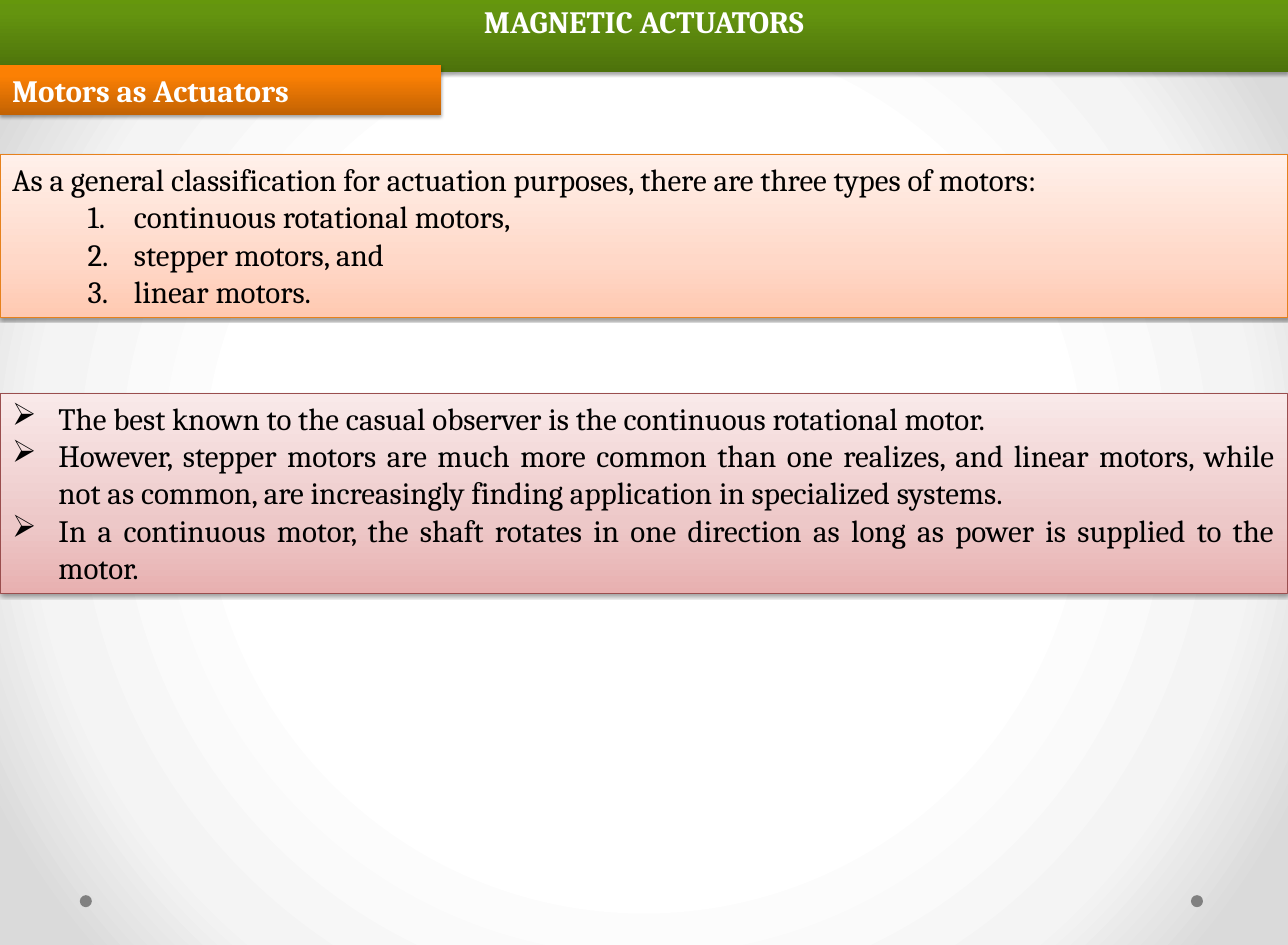
from lxml import etree
from pptx import Presentation
from pptx.dml.color import RGBColor
from pptx.enum import shapes, text
from pptx.oxml import ns
from pptx.util import Inches, Pt

FONT, SIZE = "Cambria", 26
LEFT, CENTER, JUSTIFY = text.PP_ALIGN.LEFT, text.PP_ALIGN.CENTER, text.PP_ALIGN.JUSTIFY
NUMBER = ("a:buAutoNum", {"type": "arabicPeriod"})
ARROW = ("a:buChar", {"char": "➢"})
BACKDROP = [(50, "FFFFFF"), (76, "F4F4F4"), (92, "DADADA")]

TITLE = dict(
    at=(0, -0.04, 15, 0.58), stops=[(0, "4D720B"), (80, "64940F"), (100, "65970C")],
    line=None, shadow=(35, 1.8), color="FFFFFF", bold=True, align=CENTER,
    lines=[("MAGNETIC ACTUATORS", None, 0)])
PANELS = [
    dict(at=(0, 0.76, 5.14, 0.58), stops=[(0, "C26203"), (80, "FB8004"), (100, "FF8002")],
         line=None, shadow=(35, 1.8), color="FFFFFF", bold=True, align=LEFT,
         lines=[("Motors as Actuators", None, 0)]),
    dict(at=(0, 1.8, 15, 1.89), stops=[(0, "FFC9B1"), (35, "FFD8C8"), (100, "FFF0EA")],
         line="E6811C", shadow=(38, 1.6), color="000000", bold=False, align=LEFT,
         lines=[("As a general classification for actuation purposes, there are three types of motors:", None, 0),
                ("continuous rotational motors,", NUMBER, 1.42),
                ("stepper motors, and", NUMBER, 1.42),
                ("linear motors.", NUMBER, 1.42)]),
    dict(at=(0, 4.58, 15, 2.33), stops=[(0, "E8B0B0"), (35, "EDC8C8"), (100, "F9E9E9")],
         line="9A4E4E", shadow=(38, 1.6), color="000000", bold=False, align=JUSTIFY,
         lines=[("The best known to the casual observer is the continuous rotational motor.", ARROW, 0.54),
                ("However, stepper motors are much more common than one realizes, and linear motors, "
                 "while not as common, are increasingly finding application in specialized systems.", ARROW, 0.54),
                ("In a continuous motor, the shaft rotates in one direction as long as power is "
                 "supplied to the motor.", ARROW, 0.54)]),
]
DOT_LEFTS, DOT_TOP, DOT_SIZE = (0.93, 13.87), 10.42, 0.14


def rgb(value):
    return RGBColor.from_string(value)


def add(parent, tag, **attributes):
    return etree.SubElement(parent, ns.qn(tag), {k: str(v) for k, v in attributes.items()})


def set_gradient(holder, fill, stops, circular=False):
    fill.solid()
    solid = holder.find(ns.qn("a:solidFill"))
    gradient = etree.Element(ns.qn("a:gradFill"), rotWithShape="1")
    stop_list = add(gradient, "a:gsLst")
    for position, color in stops:
        add(add(stop_list, "a:gs", pos=position * 1000), "a:srgbClr", val=color)
    if circular:
        route = add(gradient, "a:path", path="circle")
        add(route, "a:fillToRect", l=50000, t=50000, r=50000, b=50000)
    else:
        add(gradient, "a:lin", ang=270 * 60000, scaled=0)
    holder.replace(solid, gradient)


def set_shadow(box, opacity, distance):
    box.shadow.inherit = False
    effects = box.element.spPr.find(ns.qn("a:effectLst"))
    outer = add(effects, "a:outerShdw", blurRad=Pt(3.1), dist=Pt(distance),
                dir=90 * 60000, rotWithShape=0)
    add(add(outer, "a:srgbClr", val="000000"), "a:alpha", val=opacity * 1000)


def format_panel(box, panel):
    box.left, box.top, box.width, box.height = map(Inches, panel["at"])
    set_gradient(box.element.spPr, box.fill, panel["stops"])
    if panel["line"]:
        box.line.color.rgb = rgb(panel["line"])
        box.line.width = Pt(0.75)
    else:
        box.line.fill.background()
    set_shadow(box, *panel["shadow"])
    frame = box.text_frame
    frame.text = "\n".join(line[0] for line in panel["lines"])
    frame.word_wrap = True
    frame.auto_size = text.MSO_AUTO_SIZE.SHAPE_TO_FIT_TEXT
    frame.vertical_anchor = text.MSO_ANCHOR.TOP
    frame.margin_left = frame.margin_right = Inches(0.14)
    frame.margin_top = frame.margin_bottom = Inches(0.07)
    for para, (_, bullet, indent) in zip(frame.paragraphs, panel["lines"]):
        para.alignment = panel["align"]
        if bullet:
            properties = para._p.get_or_add_pPr()
            properties.set("marL", str(Inches(indent)))
            properties.set("indent", str(Inches(-0.54)))
            add(properties, bullet[0], **bullet[1])
        for span in para.runs:
            span.font.name, span.font.size = FONT, Pt(SIZE)
            span.font.bold = panel["bold"]
            span.font.color.rgb = rgb(panel["color"])


def main():
    deck = Presentation()
    deck.slide_width, deck.slide_height = Inches(15), Inches(11)
    page = deck.slides.add_slide(deck.slide_layouts[5])
    backdrop = page.background.fill
    set_gradient(page.element.find(".//" + ns.qn("p:bgPr")), backdrop, BACKDROP, circular=True)
    for left in DOT_LEFTS:
        dot = page.shapes.add_shape(shapes.MSO_SHAPE.OVAL, Inches(left), Inches(DOT_TOP),
                                    Inches(DOT_SIZE), Inches(DOT_SIZE))
        dot.fill.solid()
        dot.fill.fore_color.rgb = rgb("808080")
        dot.line.fill.background()
        dot.shadow.inherit = False
    format_panel(page.shapes.title, TITLE)
    for panel in PANELS:
        box = page.shapes.add_shape(shapes.MSO_SHAPE.RECTANGLE, *map(Inches, panel["at"]))
        format_panel(box, panel)
    deck.save("out.pptx")


if __name__ == "__main__":
    main()
